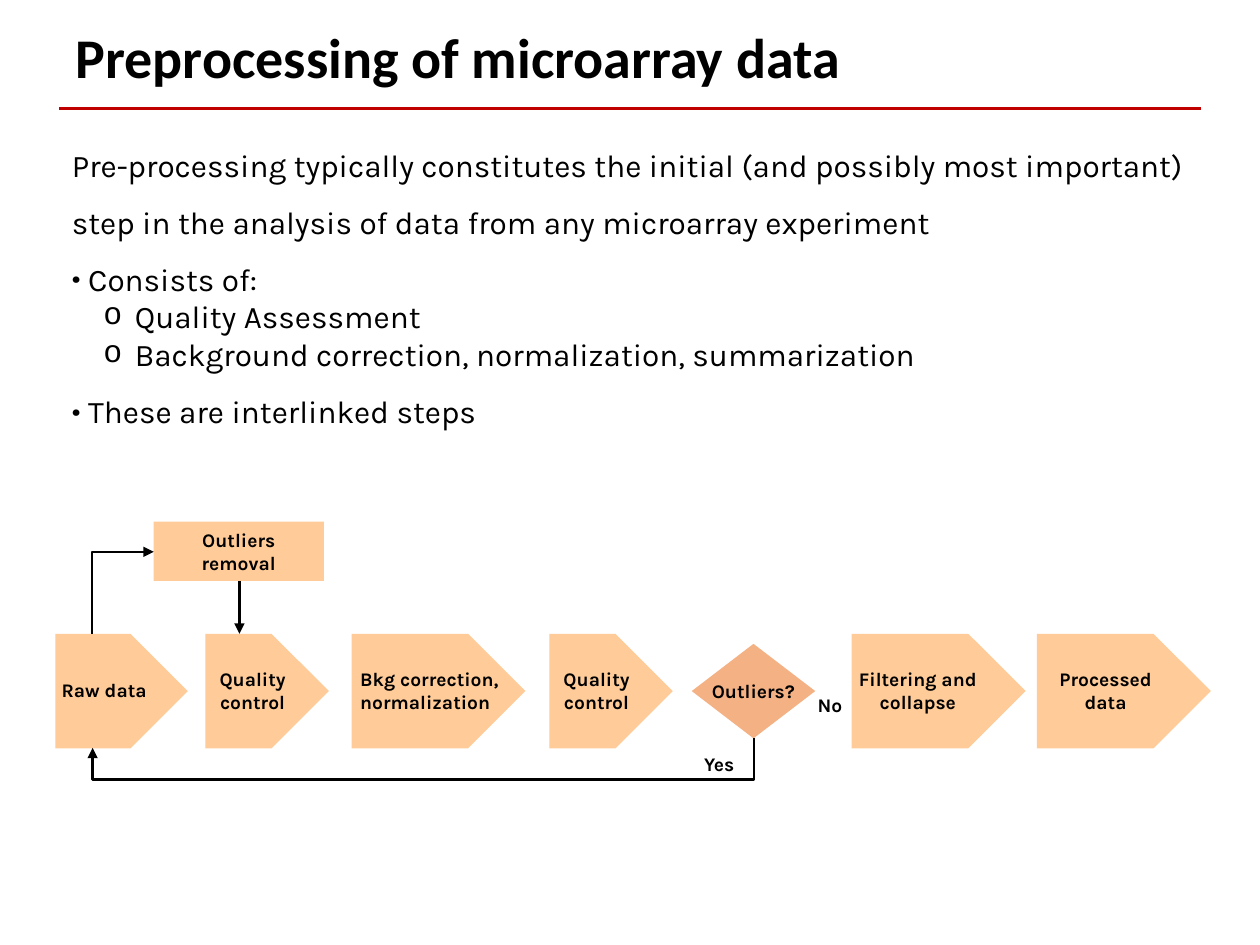
from lxml.etree import SubElement
from pptx import Presentation
from pptx.dml.color import RGBColor
from pptx.enum.shapes import MSO_CONNECTOR, MSO_SHAPE
from pptx.enum.text import MSO_ANCHOR, MSO_AUTO_SIZE, PP_ALIGN
from pptx.oxml.ns import qn
from pptx.util import Inches, Pt

BLACK = RGBColor(0x00, 0x00, 0x00)
RED = RGBColor(0xC0, 0x00, 0x00)
PEACH = RGBColor(0xFF, 0xCC, 0x99)
ORANGE = RGBColor(0xF4, 0xB1, 0x83)

HEAD = {"name": "Calibri", "size": Pt(32), "bold": True}
BODY = {"name": "Karla", "size": Pt(18), "bold": False}
LABEL = {"name": "Karla", "size": Pt(11), "bold": True}
WRAP = {"word_wrap": True, "auto_size": MSO_AUTO_SIZE.NONE}

LEFT, MID = PP_ALIGN.LEFT, PP_ALIGN.CENTER
ROW, TALL = 5.03, 0.91
CENTER = 5.48

INTRO = ("Pre-processing typically constitutes the initial (and possibly "
         "most important) step in the analysis of data from any microarray experiment")
LINES = [
    (INTRO, 0, None),
    ("Consists of:", 0, "•"),
    ("Quality Assessment", 1, "o"),
    ("Background correction, normalization, summarization", 1, "o"),
    ("These are interlinked steps", 0, "•"),
]
INDENT = {None: (0, 0), "•": (0.13, -0.13), "o": (0.5, -0.25)}
FACE = {"•": "Karla", "o": "Courier New"}

STEPS = [
    ("Raw data", 0.44, 1.05, 0.39, 1.15, 0.29, LEFT),
    ("Quality control", 1.63, 0.98, 1.43, 1.15, 0.47, MID),
    ("Bkg correction, normalization", 2.79, 1.38, 2.76, 1.49, 0.47, LEFT),
    ("Quality control", 4.36, 0.98, 4.16, 1.15, 0.47, MID),
    ("Filtering and collapse", 6.76, 1.38, 6.66, 1.25, 0.47, MID),
    ("Processed data", 8.23, 1.38, 8.2, 1.15, 0.47, MID),
]


def apply(thing, form):
    for key, value in form.items():
        setattr(thing, key, value)


def write(para, text, font, form):
    para.text = text
    apply(para, form)
    apply(para.font, font)
    para.font.color.rgb = BLACK


def place(shape, left, top, width, height):
    apply(shape, {"left": Inches(left), "top": Inches(top),
                  "width": Inches(width), "height": Inches(height)})


def mark(para, sign):
    props = para._p.get_or_add_pPr()
    margin, indent = INDENT[sign]
    props.set("marL", str(Inches(margin)))
    props.set("indent", str(Inches(indent)))
    if sign:
        SubElement(props, qn("a:buFont")).set("typeface", FACE[sign])
        SubElement(props, qn("a:buChar")).set("char", sign)
    else:
        SubElement(props, qn("a:buNone"))


def add_title(slide):
    title = slide.shapes.title
    place(title, 0.5, 0.17, 9, 0.62)
    apply(title.text_frame, {**WRAP, "vertical_anchor": MSO_ANCHOR.MIDDLE})
    write(title.text_frame.paragraphs[0], "Preprocessing of microarray data",
          HEAD, {"alignment": LEFT, "line_spacing": 0.9})


def add_body(slide):
    body = slide.placeholders[1]
    place(body, 0.47, 0.96, 9.06, 2.52)
    frame = body.text_frame
    apply(frame, {**WRAP, "vertical_anchor": MSO_ANCHOR.TOP})
    for num, (text, level, sign) in enumerate(LINES):
        para = frame.add_paragraph() if num else frame.paragraphs[0]
        mark(para, sign)
        write(para, text, BODY, {"level": level, "alignment": LEFT,
                                 "space_before": Pt(0),
                                 "line_spacing": 1.0 if level else 1.5})


def add_block(shapes, kind, fill, left, top, width, height):
    block = shapes.add_shape(kind, Inches(left), Inches(top),
                             Inches(width), Inches(height))
    block.shadow.inherit = False
    block.fill.solid()
    block.fill.fore_color.rgb = fill
    block.line.fill.background()
    return block


def add_label(shapes, text, left, top, width, height, align=LEFT):
    box = shapes.add_textbox(Inches(left), Inches(top),
                             Inches(width), Inches(height))
    box.text_frame.word_wrap = True
    write(box.text_frame.paragraphs[0], text, LABEL, {"alignment": align})


def add_line(shapes, start, end, color=BLACK, width=1.5, kind=MSO_CONNECTOR.STRAIGHT):
    line = shapes.add_connector(kind, *map(Inches, start + end))
    line.line.color.rgb = color
    line.line.width = Pt(width)
    SubElement(line.element.spPr, qn("a:effectLst"))
    return line


def add_arrow(shapes, start, end, **form):
    arrow = add_line(shapes, start, end, **form)
    SubElement(arrow.line._get_or_add_ln(), qn("a:tailEnd")).set("type", "triangle")
    return arrow


def add_bend(shapes, start, end, preset, adjust=None):
    bend = add_arrow(shapes, start, end, kind=MSO_CONNECTOR.ELBOW)
    props = bend.element.spPr
    props.find(qn("a:xfrm")).set("rot", str(90 * 60000))
    shape = props.find(qn("a:prstGeom"))
    shape.set("prst", preset)
    if adjust:
        guide = SubElement(shape.find(qn("a:avLst")), qn("a:gd"))
        guide.set("name", "adj1")
        guide.set("fmla", f"val {adjust}")


def add_flow(slide):
    shapes = slide.shapes.add_group_shape().shapes
    for text, left, width, start, span, height, align in STEPS:
        add_block(shapes, MSO_SHAPE.PENTAGON, PEACH, left, ROW, width, TALL)
        add_label(shapes, text, start, CENTER - height / 2, span, height, align)

    removal = add_block(shapes, MSO_SHAPE.RECTANGLE, PEACH, 1.22, 4.14, 1.35, 0.47)
    apply(removal.text_frame, {"word_wrap": True, "vertical_anchor": MSO_ANCHOR.MIDDLE})
    write(removal.text_frame.paragraphs[0], "Outliers removal", LABEL, {"alignment": MID})

    add_block(shapes, MSO_SHAPE.DIAMOND, ORANGE, 5.49, 5.11, 0.98, 0.75)
    add_label(shapes, "Outliers?", 5.51, 5.34, 0.94, 0.29, MID)
    add_label(shapes, "Yes", 5.49, 5.92, 0.5, 0.29)
    add_label(shapes, "No", 6.39, 5.45, 0.48, 0.29)

    add_bend(shapes, (3.32, 3.27), (3.4, 8.52), "bentConnector3", 417500)
    add_bend(shapes, (1.3, 4.95), (0.65, 4.46), "bentConnector2")
    add_arrow(shapes, (1.9, 4.61), (1.9, ROW))


def main():
    deck = Presentation()
    apply(deck, {"slide_width": Inches(10), "slide_height": Inches(7.5)})
    slide = deck.slides.add_slide(deck.slide_layouts[1])
    add_title(slide)
    add_body(slide)
    add_flow(slide)
    add_line(slide.shapes, (0.47, 0.86), (9.53, 0.86), RED, 2)
    deck.save("out.pptx")


if __name__ == "__main__":
    main()
